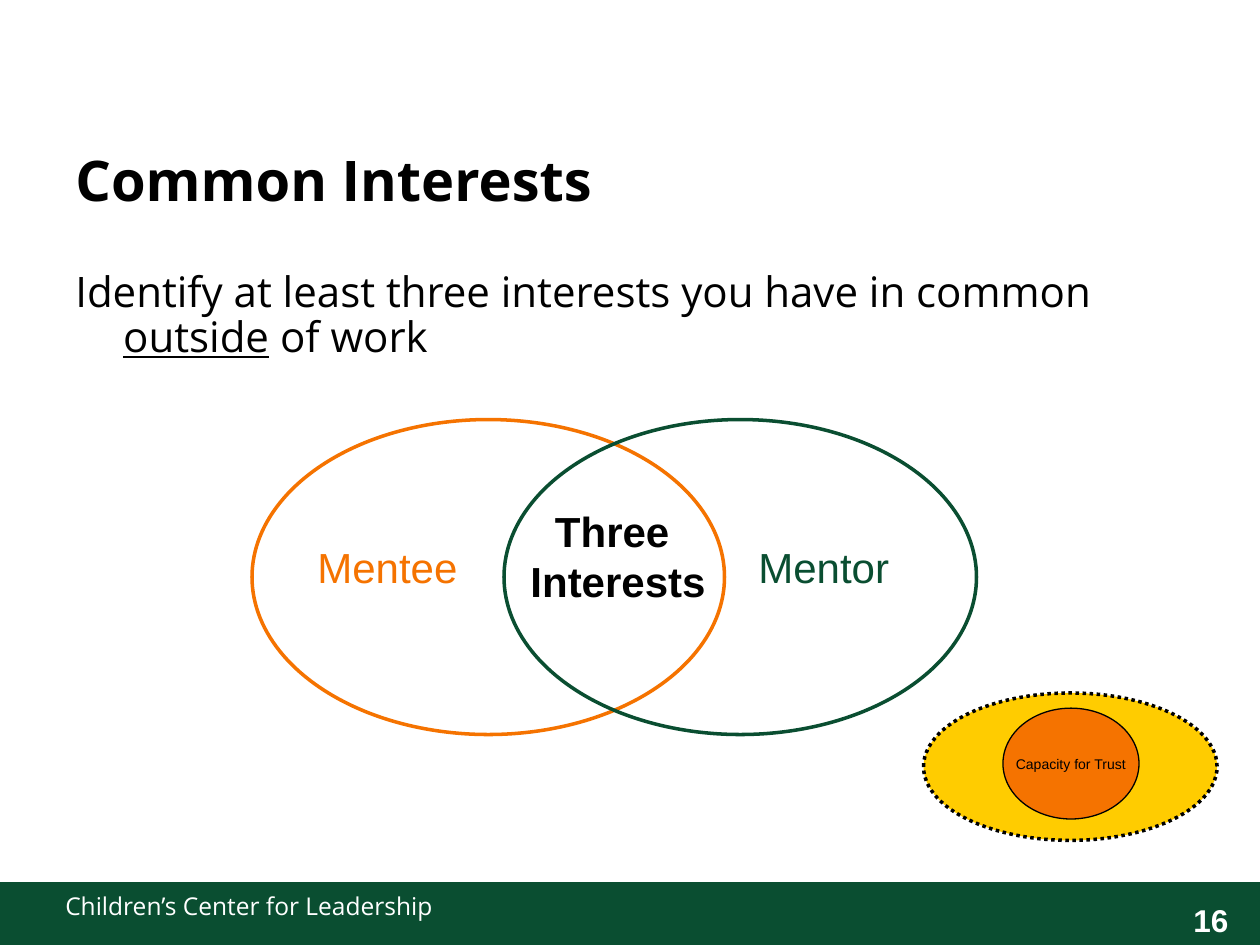
from typing import NamedTuple, Optional

from pptx import Presentation
from pptx.dml.color import RGBColor as RGB
from pptx.enum.dml import MSO_LINE_DASH_STYLE as Dash
from pptx.enum.shapes import MSO_SHAPE as Kind
from pptx.enum.text import MSO_ANCHOR as Anchor, PP_ALIGN as Align
from pptx.util import Inches, Pt

WIDE, HIGH = 10, 7.5
GREEN = RGB(0x0A, 0x4E, 0x31)
ORANGE = RGB(0xF5, 0x73, 0x00)
GOLD = RGB(0xFF, 0xCC, 0x00)
BLACK = RGB(0, 0, 0)
WHITE = RGB(0xFF, 0xFF, 0xFF)
SANS, ARIAL = "Open Sans", "Arial"


class Box(NamedTuple):
    """Left, top, width and height in inches."""
    x: float
    y: float
    w: float
    h: float

    def emu(self) -> list:
        return [Inches(v) for v in self]


class Oval(NamedTuple):
    box: Box
    line: RGB
    width: float = 2
    fill: Optional[RGB] = None
    dash: Optional[Dash] = None


class Circle(NamedTuple):
    """One side of the Venn diagram."""
    name: str
    color: RGB
    left: float
    label: float


def put_text(shape, *paras, size=24, font=ARIAL, color=BLACK, bold=False,
             align=Align.LEFT, anchor=Anchor.TOP, wrap=True, hang=0, space=None):
    """Fill a shape; each paragraph is a string or a list of (text, underline)."""
    frame = shape.text_frame
    frame.word_wrap, frame.vertical_anchor = wrap, anchor
    for i, para in enumerate(paras):
        p = frame.add_paragraph() if i else frame.paragraphs[0]
        p.alignment, p.line_spacing = align, space
        if hang:
            props = p._p.get_or_add_pPr()
            props.set("marL", str(Inches(hang)))
            props.set("indent", str(-Inches(hang)))
        for text, under in [(para, None)] if isinstance(para, str) else para:
            run = p.add_run()
            run.text = text
            face = run.font
            face.name, face.size, face.bold = font, Pt(size), bold
            face.underline, face.color.rgb = under, color


def add_text(shapes, box: Box, *paras, **style) -> None:
    put_text(shapes.add_textbox(*box.emu()), *paras, **style)


def add_oval(shapes, oval: Oval):
    shape = shapes.add_shape(Kind.OVAL, *oval.box.emu())
    shape.shadow.inherit = False
    if oval.fill is None:
        shape.fill.background()
    else:
        shape.fill.solid()
        shape.fill.fore_color.rgb = oval.fill
    shape.line.color.rgb, shape.line.width = oval.line, Pt(oval.width)
    if oval.dash is not None:
        shape.line.dash_style = oval.dash
    return shape


def main() -> None:
    deck = Presentation()
    deck.slide_width, deck.slide_height = Inches(WIDE), Inches(HIGH)
    shapes = deck.slides.add_slide(deck.slide_layouts[6]).shapes

    # Footer band
    band = shapes.add_shape(Kind.RECTANGLE, *Box(0, 7, WIDE, 0.55).emu())
    band.shadow.inherit = False
    band.fill.solid()
    band.fill.fore_color.rgb = GREEN
    band.line.fill.background()
    add_text(shapes, Box(9.22, 7.1, 0.78, 0.4), "16", size=18, color=WHITE,
             bold=True, align=Align.CENTER)
    add_text(shapes, Box(0.42, 7.02, 7.9, 0.5),
             "Children’s Center for Leadership", size=14, font=SANS, color=WHITE)

    # Title and task
    add_text(shapes, Box(0.5, 0.92, 5.34, 1), "Common Interests", size=32,
             font=SANS, bold=True, anchor=Anchor.MIDDLE)
    add_text(shapes, Box(0.5, 2.1, 9, 4.6),
             [("Identify at least three interests you have in common ", None),
              ("outside", True), (" of work", None)],
             font=SANS, hang=0.38, space=0.9)

    # Venn diagram
    sides = [Circle("Mentee", ORANGE, 0.2 * WIDE, 2.42),
             Circle("Mentor", GREEN, 0.4 * WIDE, 5.92)]
    for side in sides:
        add_oval(shapes, Oval(Box(side.left, 3.33, 3.75, HIGH / 3), side.color))
        add_text(shapes, Box(side.label, 4.25, 1.42, 0.5), side.name, color=side.color)
    add_text(shapes, Box(4.11, 3.96, 1.59, 0.9), "Three ", "Interests", bold=True,
             align=Align.CENTER, wrap=False)

    # Trust badge
    badge = shapes.add_group_shape().shapes
    add_oval(badge, Oval(Box(7.33, 5.5, 2.33, 1.17), BLACK, fill=GOLD,
                         dash=Dash.ROUND_DOT))
    core = add_oval(badge, Oval(Box(7.96, 5.62, 1.08, 0.88), BLACK, 0.75, ORANGE))
    put_text(core, "Capacity for Trust", size=8, align=Align.CENTER,
             anchor=Anchor.MIDDLE, wrap=False)

    deck.save("out.pptx")


if __name__ == "__main__":
    main()
